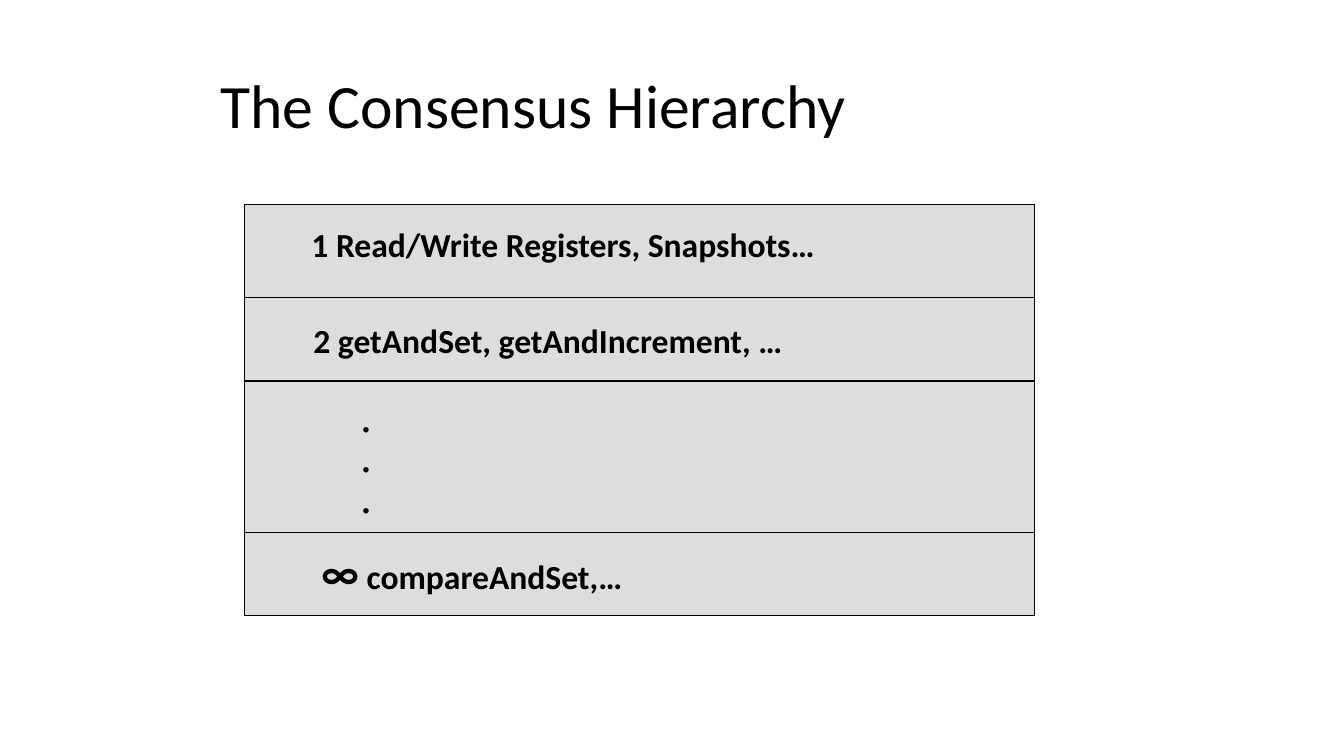
from lxml.etree import SubElement
from pptx import Presentation
from pptx.dml.color import RGBColor
from pptx.enum.shapes import MSO_CONNECTOR, MSO_SHAPE
from pptx.enum.text import MSO_ANCHOR
from pptx.oxml.ns import qn
from pptx.util import Inches, Pt

BLACK = "000000"
GREY = "DDDDDD"
LEFT, TOP, WIDTH, HEIGHT = 2.43, 2.03, 7.83, 4.08
LEVEL_DIVIDERS = (2.95, 3.78, 5.28)


def color(hex_value):
    return RGBColor.from_string(hex_value)


def style_line(line):
    line.color.rgb = color(BLACK)
    line.width = Pt(0.75)


def add_panel(page):
    panel = page.shapes.add_shape(MSO_SHAPE.RECTANGLE, Inches(LEFT), Inches(TOP),
                                  Inches(WIDTH), Inches(HEIGHT))
    panel.shadow.inherit = False
    panel.fill.solid()
    panel.fill.fore_color.rgb = color(GREY)
    style_line(panel.line)


def add_divider(page, y):
    divider = page.shapes.add_connector(MSO_CONNECTOR.STRAIGHT, Inches(LEFT), Inches(y),
                                        Inches(LEFT + WIDTH), Inches(y))
    style_line(divider.line)
    SubElement(divider._element.spPr, qn("a:effectLst"))


def add_text(page, position, lines, size=24, bold=True, font="Calibri"):
    box = page.shapes.add_textbox(*[Inches(length) for length in position])
    frame = box.text_frame
    frame.word_wrap = True
    frame.text = "\n".join(lines)
    for para in frame.paragraphs:
        para.font.name = font
        para.font.size = Pt(size)
        para.font.bold = bold
        para.font.color.rgb = color(BLACK)
    return frame


def main():
    deck = Presentation()
    deck.slide_width, deck.slide_height = Inches(13.33), Inches(7.5)
    page = deck.slides.add_slide(deck.slide_layouts[6])

    # Title
    title = add_text(page, (2.09, 0.45, 8.5, 1.25), ["The Consensus Hierarchy"],
                     size=44, bold=False)
    title.vertical_anchor = MSO_ANCHOR.MIDDLE
    title.paragraphs[0].line_spacing = 0.9

    # Panel split into levels
    add_panel(page)
    for y in LEVEL_DIVIDERS:
        add_divider(page, y)

    # Consensus numbers and their objects
    add_text(page, (2.99, 2.17, 6.21, 0.5), ["1 Read/Write Registers, Snapshots…"])
    add_text(page, (3.01, 3.12, 5.84, 0.5), ["2 getAndSet, getAndIncrement, …"])
    add_text(page, (3.49, 3.91, 0.28, 1.3), ["."] * 3, font="Times New Roman")
    top_level = add_text(page, (3.09, 5.35, 3.59, 0.63), ["∞"])
    top_level.paragraphs[0].runs[0].font.size = Pt(32)
    span = top_level.paragraphs[0].add_run()
    span.text = " compareAndSet,…"

    deck.save("out.pptx")


main()
